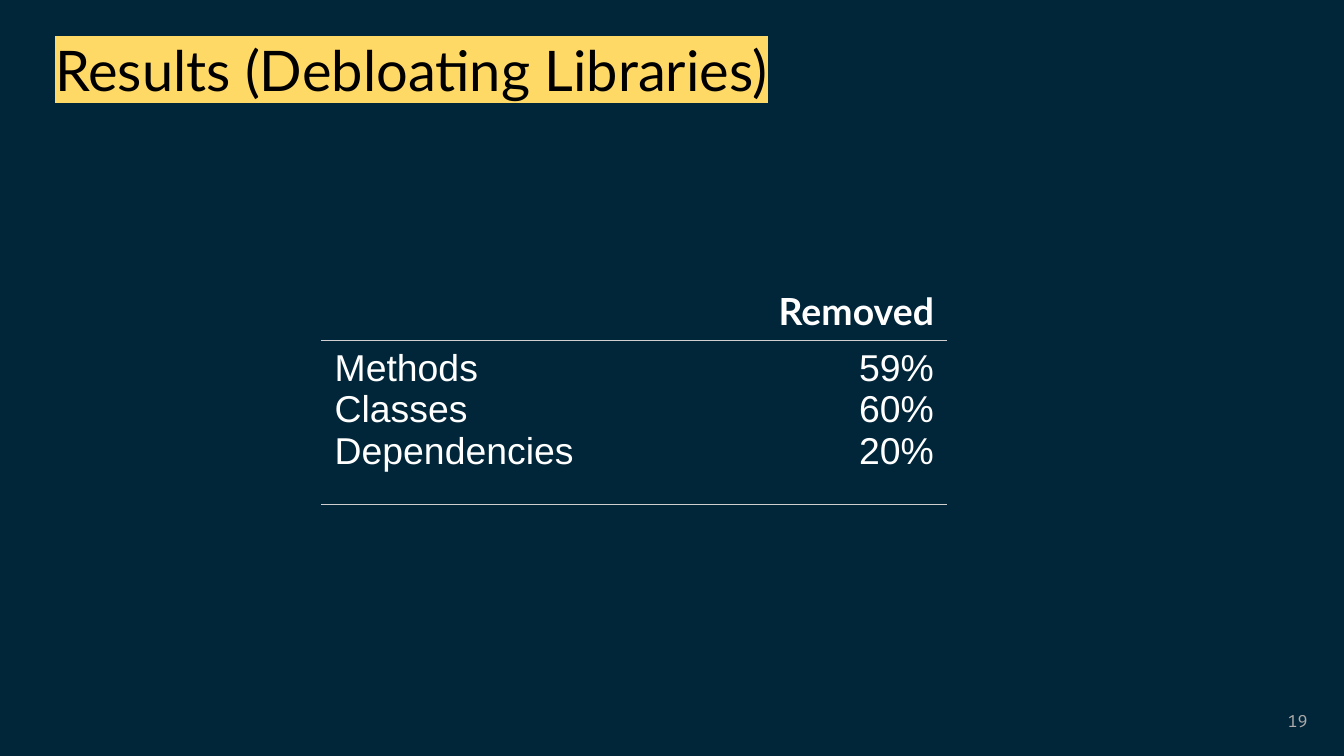
from pptx import Presentation
from pptx.dml.color import RGBColor
from pptx.enum.text import MSO_ANCHOR, MSO_AUTO_SIZE, PP_ALIGN
from pptx.oxml import parse_xml
from pptx.oxml.ns import nsdecls, qn
from pptx.util import Inches, Pt

LEFT, RIGHT = PP_ALIGN.LEFT, PP_ALIGN.RIGHT
TOP, MIDDLE = MSO_ANCHOR.TOP, MSO_ANCHOR.MIDDLE
NO_FIT = MSO_AUTO_SIZE.NONE
PLAIN_STYLE = "{2D5ABB26-0587-4C30-8999-92F81FD0307C}"

COLORS = {
    "back": "012639",
    "title": "000000",
    "mark": "FFD966",
    "text": "FFFFFF",
    "rule": "D0CECE",
    "page": "AEABAB",
}
ROWS = [("Methods", "59%"), ("Classes", "60%"), ("Dependencies", "20%")]


def rgb(name):
    return RGBColor.from_string(COLORS[name])


def set_text(frame, lines, size, face, color, align=LEFT, bold=False):
    frame.text = "\n".join(lines)
    for para in frame.paragraphs:
        para.alignment = align
        for run in para.runs:
            font = run.font
            font.size, font.name, font.bold = Pt(size), face, bold
            font.color.rgb = rgb(color)


def add_title(slide, text):
    title = slide.shapes.title
    title.left, title.top = Inches(0.31), Inches(0.27)
    title.width, title.height = Inches(7.31), Inches(0.54)
    frame = title.text_frame
    frame.word_wrap, frame.auto_size = True, NO_FIT
    frame.vertical_anchor = TOP
    set_text(frame, [text], 30, "Lato", "title")
    para = frame.paragraphs[0]
    para.line_spacing = 0.9
    # The highlight has to follow the text fill
    mark = parse_xml(
        f'<a:highlight {nsdecls("a")}><a:srgbClr val="{COLORS["mark"]}"/></a:highlight>'
    )
    para.runs[0].font._element.find(qn("a:solidFill")).addnext(mark)


def add_rules(cell, sides):
    props = cell._tc.get_or_add_tcPr()
    for spot, side in enumerate(sides):
        props.insert(spot, parse_xml(
            f'<a:ln{side} {nsdecls("a")} w="{Pt(1)}"><a:solidFill>'
            f'<a:srgbClr val="{COLORS["rule"]}"/></a:solidFill></a:ln{side}>'
        ))


def add_grid(slide):
    frame = slide.shapes.add_table(
        2, 2, Inches(2.39), Inches(2.1), Inches(4.66), Inches(1.63))
    table = frame.table
    table.first_row = table.horz_banding = False
    table._tbl.tblPr.find(qn("a:tableStyleId")).text = PLAIN_STYLE
    for col, width in zip(table.columns, (2.37, 2.29)):
        col.width = Inches(width)
    for row, height in zip(table.rows, (0.41, 1.22)):
        row.height = Inches(height)

    # Header row, then one row that holds all the measures
    names, shares = zip(*ROWS)
    set_text(table.cell(0, 1).text_frame, ["Removed"], 20, "Lato", "text", RIGHT, True)
    set_text(table.cell(1, 0).text_frame, names, 20, "Arial", "text")
    set_text(table.cell(1, 1).text_frame, shares, 20, "Arial", "text", RIGHT)
    for cell in table.iter_cells():
        cell.fill.background()
    for col in range(2):
        add_rules(table.cell(0, col), "B")
        add_rules(table.cell(1, col), "TB")


def add_page(slide, number):
    box = slide.shapes.add_textbox(
        Inches(7.58), Inches(5.21), Inches(2.25), Inches(0.3))
    frame = box.text_frame
    frame.word_wrap = True
    frame.vertical_anchor = MIDDLE
    set_text(frame, [number], 9, "Fira Code", "page", RIGHT)


def main():
    deck = Presentation()
    # Widescreen, 16 to 9
    deck.slide_width = Inches(10)
    deck.slide_height = Inches(10 * 9 / 16)
    slide = deck.slides.add_slide(deck.slide_layouts[5])
    fill = slide.background.fill
    fill.solid()
    fill.fore_color.rgb = rgb("back")

    add_page(slide, "19")
    add_grid(slide)
    add_title(slide, "Results (Debloating Libraries)")
    deck.save("out.pptx")


if __name__ == "__main__":
    main()
